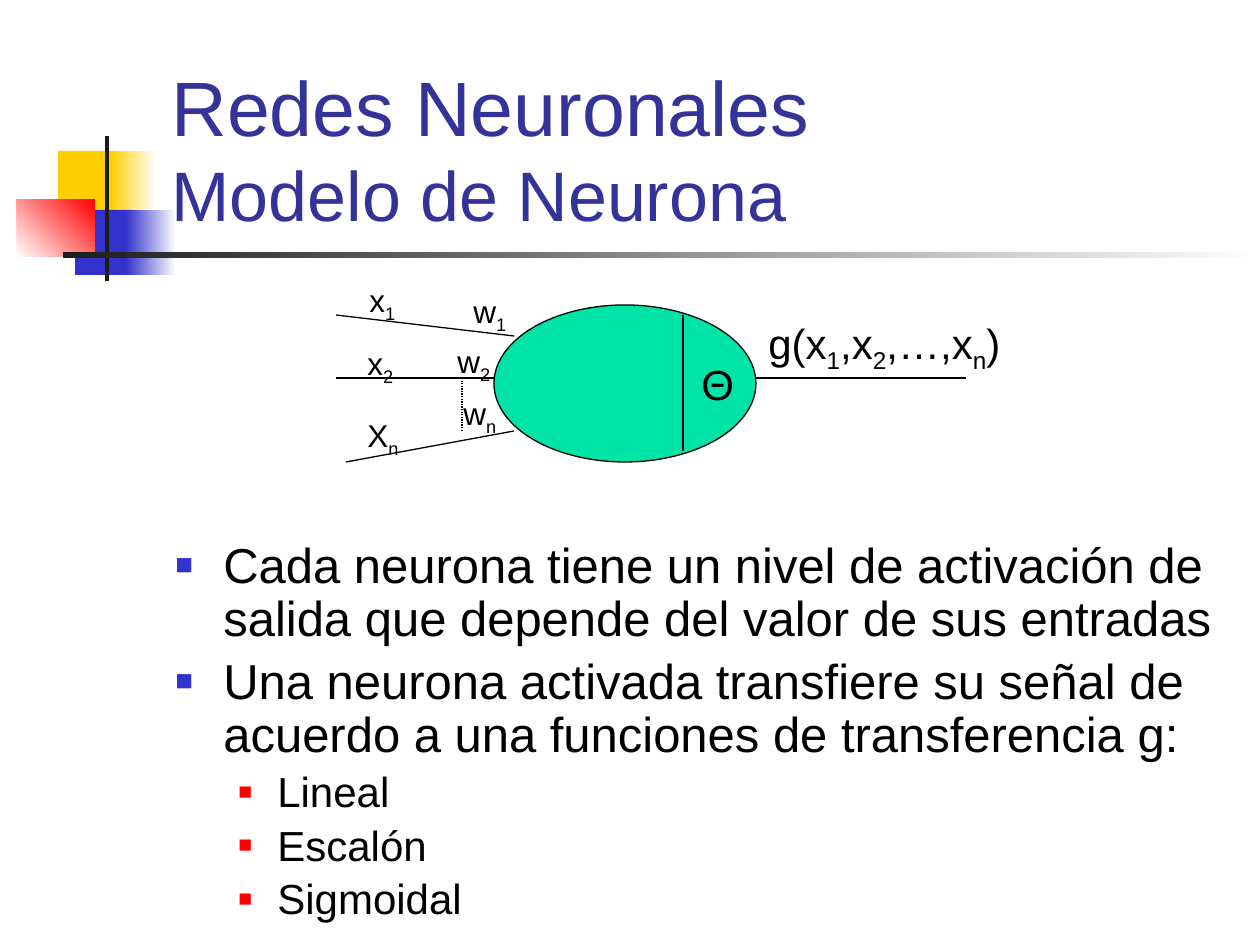
from pptx import Presentation
from pptx.dml.color import RGBColor as Rgb
from pptx.enum.dml import MSO_LINE as Dash
from pptx.enum.shapes import MSO_CONNECTOR as Link, MSO_SHAPE as Kind
from pptx.enum.text import MSO_ANCHOR as Anchor, MSO_AUTO_SIZE as Fit, PP_ALIGN as Align
from pptx.oxml.ns import qn
from pptx.util import Emu, Pt
from lxml.etree import SubElement as Sub

GOLD = Rgb(0xFF, 0xCF, 0x01)
BLUE = Rgb(0x33, 0x33, 0xCC)
NAVY = Rgb(0x33, 0x33, 0x99)
RED = Rgb(0xFF, 0, 0)
DARK = Rgb(0x1C, 0x1C, 0x1C)
MINT = Rgb(0, 0xE4, 0xA8)
BLACK = Rgb(0, 0, 0)
WHITE = Rgb(0xFF, 0xFF, 0xFF)

TITLE = [("Redes Neuronales", 44), ("Modelo de Neurona", 40)]
DECOR = [
    ((58, 151, 60, 66), [GOLD], 0),
    ((111, 151, 45, 66), [GOLD, WHITE], 0),
    ((75, 210, 58, 65), [BLUE], 0),
    ((126, 210, 50, 65), [BLUE, WHITE], 0),
    ((17, 199, 78, 58), [WHITE, RED], 45),
    ((105, 136, 4, 145), [DARK], 0),
    ((63, 252, 1197, 6), [DARK, WHITE], 0),
]
CELL = (494, 305, 262, 157)
WIRES = [
    ((756, 378), (966, 378), Dash.SOLID),
    ((514, 336), (336, 315), Dash.SOLID),
    ((494, 378), (336, 378), Dash.SOLID),
    ((514, 431), (346, 462), Dash.SOLID),
    ((462, 378), (462, 431), Dash.ROUND_DOT),
    ((683, 315), (683, 451), Dash.SOLID),
]
LABELS = [
    ("x|1", (357, 275, 53, 50), 18),
    ("x|2", (355, 338, 53, 50), 18),
    ("X|n", (355, 410, 58, 50), 18),
    ("w|1", (461, 286, 59, 50), 18),
    ("w|2", (445, 336, 59, 50), 18),
    ("w|n", (451, 388, 59, 50), 18),
    ("g(x|1|,x|2|,…,x|n|)", (756, 311, 263, 63), 24),
    ("Θ", (689, 352, 57, 63), 24),
]
POINTS = [
    (0, "Cada neurona tiene un nivel de activación de salida que depende del valor de sus entradas"),
    (0, "Una neurona activada transfiere su señal de acuerdo a una funciones de transferencia g:"),
    (1, "Lineal"),
    (1, "Escalón"),
    (1, "Sigmoidal"),
]
LEVELS = [
    dict(size=28, color=BLUE, scale=60, left=48, hang=48),
    dict(size=24, color=RED, scale=55, left=102, hang=39),
]


def px(n):
    return Emu(round(n * 914400 / 126))


def place(box):
    return [px(n) for n in box]


def style(item, **vals):
    for key, val in vals.items():
        setattr(item, key, val)


def write(para, text, size, color=BLACK):
    run = para.add_run()
    run.text = text
    style(run.font, name="Arial", size=Pt(size))
    run.font.color.rgb = color
    return run


def shape(kind, box, hues, angle=0):
    item = slide.shapes.add_shape(kind, *place(box))
    item.shadow.inherit = False
    item.line.fill.background()
    if len(hues) == 1:
        item.fill.solid()
        item.fill.fore_color.rgb = hues[0]
    else:
        item.fill.gradient()
        item.fill.gradient_angle = angle
        for stop, hue in zip(item.fill.gradient_stops, hues):
            stop.color.rgb = hue
    return item


def wire(start, end, dash):
    item = slide.shapes.add_connector(Link.STRAIGHT, *place(start + end))
    item.line.color.rgb = BLACK
    style(item.line, width=Pt(0.75), dash_style=dash)
    Sub(item._element.spPr, qn("a:effectLst"))


def label(text, box, size):
    frame = slide.shapes.add_textbox(*place(box)).text_frame
    style(frame, word_wrap=False, auto_size=Fit.SHAPE_TO_FIT_TEXT)
    for i, part in enumerate(text.split("|")):
        if part:
            run = write(frame.paragraphs[0], part, size)
            if i % 2:
                run.font._element.set("baseline", "-25000")


def bullet(para, level, text):
    form = LEVELS[level]
    style(para, level=level, line_spacing=0.9, space_before=Pt(form["size"] / 5))
    props = para._p.get_or_add_pPr()
    props.set("marL", str(px(form["left"])))
    props.set("indent", str(-px(form["hang"])))
    hue = Sub(props, qn("a:buClr"))
    Sub(hue, qn("a:srgbClr"), val=str(form["color"]))
    Sub(props, qn("a:buSzPct"), val=str(form["scale"] * 1000))
    Sub(props, qn("a:buFont"), typeface="Arial")
    Sub(props, qn("a:buChar"), char="■")
    write(para, text, form["size"])


deck = Presentation()
style(deck, slide_width=px(1260), slide_height=px(945))
slide = deck.slides.add_slide(deck.slide_layouts[5])

for box, hues, angle in DECOR:
    shape(Kind.RECTANGLE, box, hues, angle)

title = slide.shapes.title
slide.shapes._spTree.append(title._element)
left, top, width, height = place((159, 85, 1073, 157))
style(title, left=left, top=top, width=width, height=height)
style(title.text_frame, vertical_anchor=Anchor.BOTTOM, word_wrap=True, auto_size=Fit.NONE)
head = title.text_frame.paragraphs[0]
head.alignment = Align.LEFT
for i, (text, size) in enumerate(TITLE):
    if i:
        head.add_line_break()
    write(head, text, size, NAVY)

body = slide.shapes.add_textbox(*place((163, 535, 1071, 400))).text_frame
style(body, word_wrap=True, auto_size=Fit.NONE)
for i, (level, text) in enumerate(POINTS):
    para = body.add_paragraph() if i else body.paragraphs[0]
    bullet(para, level, text)

cell = shape(Kind.OVAL, CELL, [MINT])
cell.line.color.rgb = BLACK
cell.line.width = Pt(0.75)
for ends in WIRES:
    wire(*ends)
for item in LABELS:
    label(*item)

deck.save("out.pptx")
